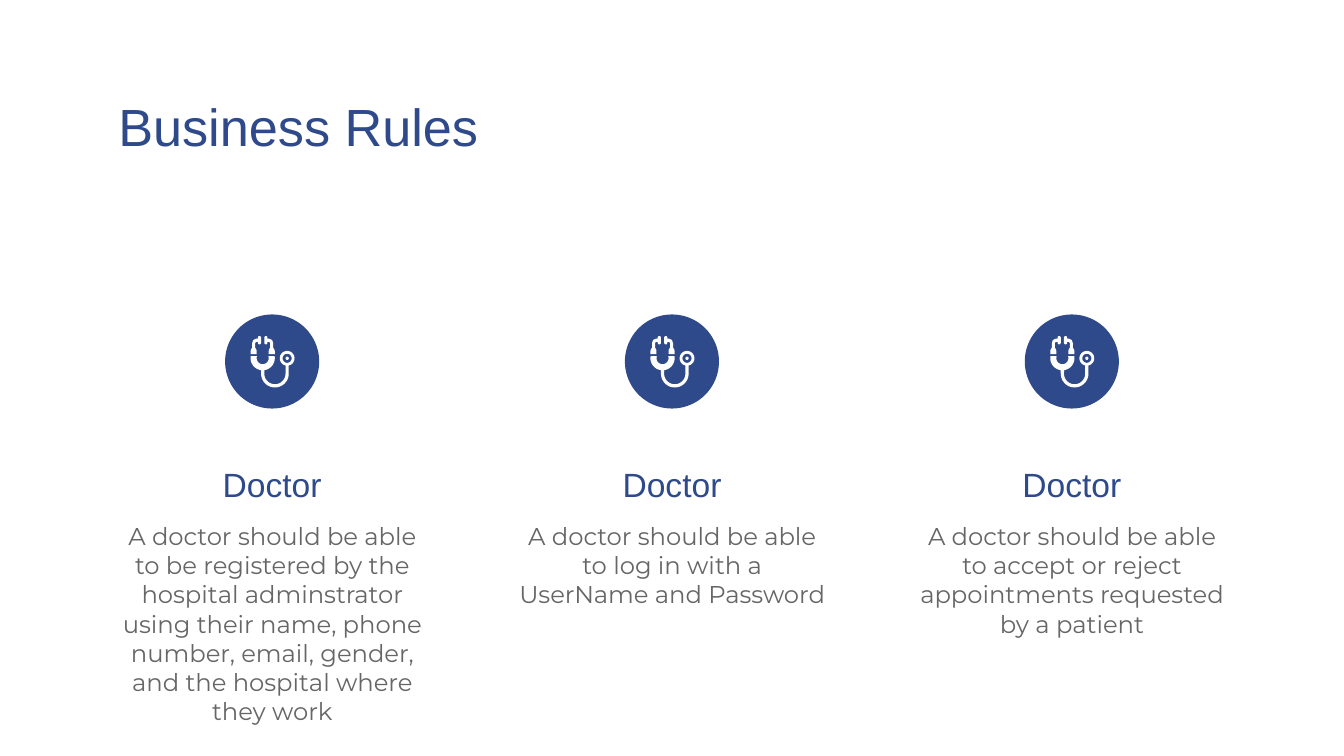
from math import cos, radians, sin

from pptx import Presentation
from pptx.dml.color import RGBColor
from pptx.enum.shapes import MSO_SHAPE
from pptx.enum.text import MSO_ANCHOR, MSO_AUTO_SIZE, PP_ALIGN
from pptx.util import Inches, Pt

TITLE = "Business Rules"
RULES = [
    ("Doctor", "A doctor should be able to be registered by the hospital adminstrator using "
               "their name, phone number, email, gender, and the hospital where they work"),
    ("Doctor", "A doctor should be able to log in with a UserName and Password"),
    ("Doctor", "A doctor should be able to accept or reject appointments requested by a patient"),
]
COLORS = {"blue": "2F4A8A", "gray": "666666", "white": "FFFFFF"}

SLIDE_WIDTH = 10
SLIDE_HEIGHT = SLIDE_WIDTH * 9 / 16
MARGIN, COLUMN_WIDTH = 0.78, 2.49
CONTENT_WIDTH = SLIDE_WIDTH - 2 * MARGIN
COLUMN_STEP = (CONTENT_WIDTH - COLUMN_WIDTH) / (len(RULES) - 1)
CIRCLE_TOP, CIRCLE_SIZE = 2.34, 0.7
ICON_TOP, ICON_AXIS_OFFSET, ICON_UNIT = 2.5, -0.07, 0.01


def arc(center, radius, start, end, steps=24):
    """Return points along a circular arc, with angles in degrees."""
    angles = [radians(start + (end - start) * step / steps) for step in range(steps + 1)]
    return [(center[0] + radius * cos(angle), center[1] + radius * sin(angle)) for angle in angles]


BOWL, LOOP, HEAD = (0, 16.5), (9.1, 28), (18.2, 16.6)
EARPIECE = [
    (1.2, 1), (1.6, 0.3), (2.4, 0), (3.2, 0.3), (3.6, 1), (3.6, 2), (4.8, 2), (7, 3),
    (7.8, 5.2), (7.8, 8.8), (8.6, 9.8), (9, 11.2), (9, 13.5), (4.5, 13.5), (4.5, 11.2),
    (4.8, 9.8), (5.6, 8.8), (5.6, 5.2), (4.8, 4.3), (3.6, 4.3), (3.6, 5.2), (3.2, 6),
    (2.4, 6.3), (1.6, 6), (1.2, 5.2),
]
TUBE = (
    arc(BOWL, 9, 190, 98) + arc(LOOP, 10.3, 180, 0) + arc(HEAD, 5.5, 78, -258)
    + arc(LOOP, 7.9, 0, 180) + arc(BOWL, 9, 82, -10) + arc(BOWL, 4.5, -20, 200)
)
STETHOSCOPE = [
    [arc(HEAD, 1.2, 0, 360)],
    [EARPIECE],
    [[(-x, y) for x, y in EARPIECE]],
    [TUBE, arc(HEAD, 3.4, 0, 360)],
]


def fill_shape(shape, color):
    """Give a shape a plain fill without line or shadow."""
    shape.shadow.inherit = False
    shape.fill.solid()
    shape.fill.fore_color.rgb = RGBColor.from_string(COLORS[color])
    shape.line.fill.background()


def write_text(shape, box, text, font, size, color, align):
    """Place a text shape and fill it with one formatted paragraph."""
    shape.left, shape.top, shape.width, shape.height = [Inches(value) for value in box]
    frame = shape.text_frame
    frame.word_wrap = True
    frame.auto_size = MSO_AUTO_SIZE.NONE
    frame.vertical_anchor = MSO_ANCHOR.TOP
    frame.margin_left = frame.margin_right = Inches(0.1)
    frame.margin_top = frame.margin_bottom = Inches(0.1)
    frame.text = text
    paragraph = frame.paragraphs[0]
    paragraph.alignment = align
    paragraph.space_before = Pt(0)
    paragraph.font.name = font
    paragraph.font.size = Pt(size)
    paragraph.font.color.rgb = RGBColor.from_string(COLORS[color])


def add_icon(slide, center):
    """Draw a stethoscope in a circle centred on a column."""
    circle = slide.shapes.add_shape(
        MSO_SHAPE.OVAL, Inches(center - CIRCLE_SIZE / 2), Inches(CIRCLE_TOP),
        Inches(CIRCLE_SIZE), Inches(CIRCLE_SIZE))
    fill_shape(circle, "blue")
    group = slide.shapes.add_group_shape()
    axis = center + ICON_AXIS_OFFSET
    for contours in STETHOSCOPE:
        placed = [[(Inches(axis + x * ICON_UNIT), Inches(ICON_TOP + y * ICON_UNIT))
                   for x, y in contour] for contour in contours]
        builder = group.shapes.build_freeform(*placed[0][0])
        builder.add_line_segments(placed[0][1:])
        for contour in placed[1:]:
            builder.move_to(*contour[0])
            builder.add_line_segments(contour[1:])
        fill_shape(builder.convert_to_shape(), "white")


def main():
    """Build the business rules slide."""
    presentation = Presentation()
    presentation.slide_width = Inches(SLIDE_WIDTH)
    presentation.slide_height = Inches(SLIDE_HEIGHT)
    slide = presentation.slides.add_slide(presentation.slide_layouts[5])
    write_text(slide.shapes.title, (MARGIN, 0.6, CONTENT_WIDTH, 0.51), TITLE,
               "Arial", 28, "blue", PP_ALIGN.LEFT)
    for index, (heading, rule) in enumerate(RULES):
        left = MARGIN + index * COLUMN_STEP
        write_text(slide.shapes.add_textbox(0, 0, 0, 0), (left, 3.35, COLUMN_WIDTH, 0.51),
                   heading, "Arial", 18, "blue", PP_ALIGN.CENTER)
        write_text(slide.shapes.add_textbox(0, 0, 0, 0), (left, 3.78, COLUMN_WIDTH, 0.84),
                   rule, "Montserrat", 13, "gray", PP_ALIGN.CENTER)
        add_icon(slide, left + COLUMN_WIDTH / 2)
    presentation.save("out.pptx")


if __name__ == "__main__":
    main()
